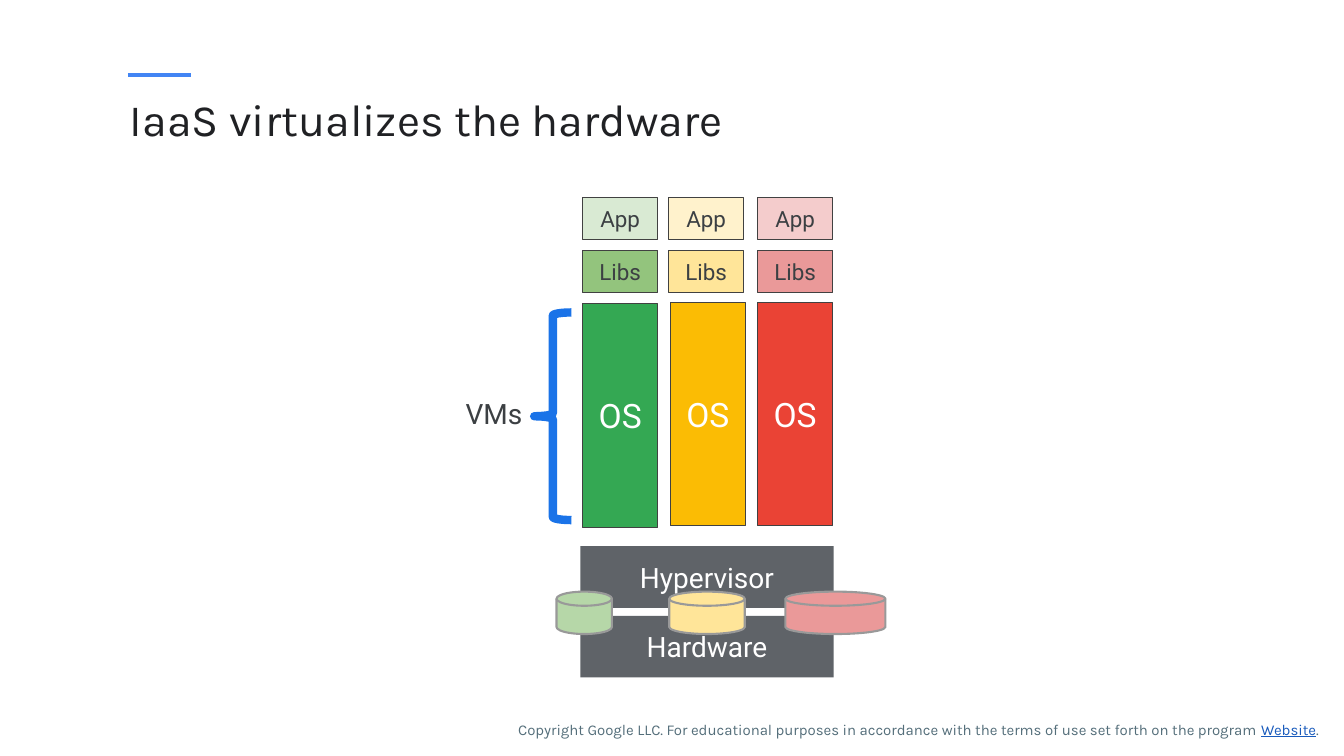
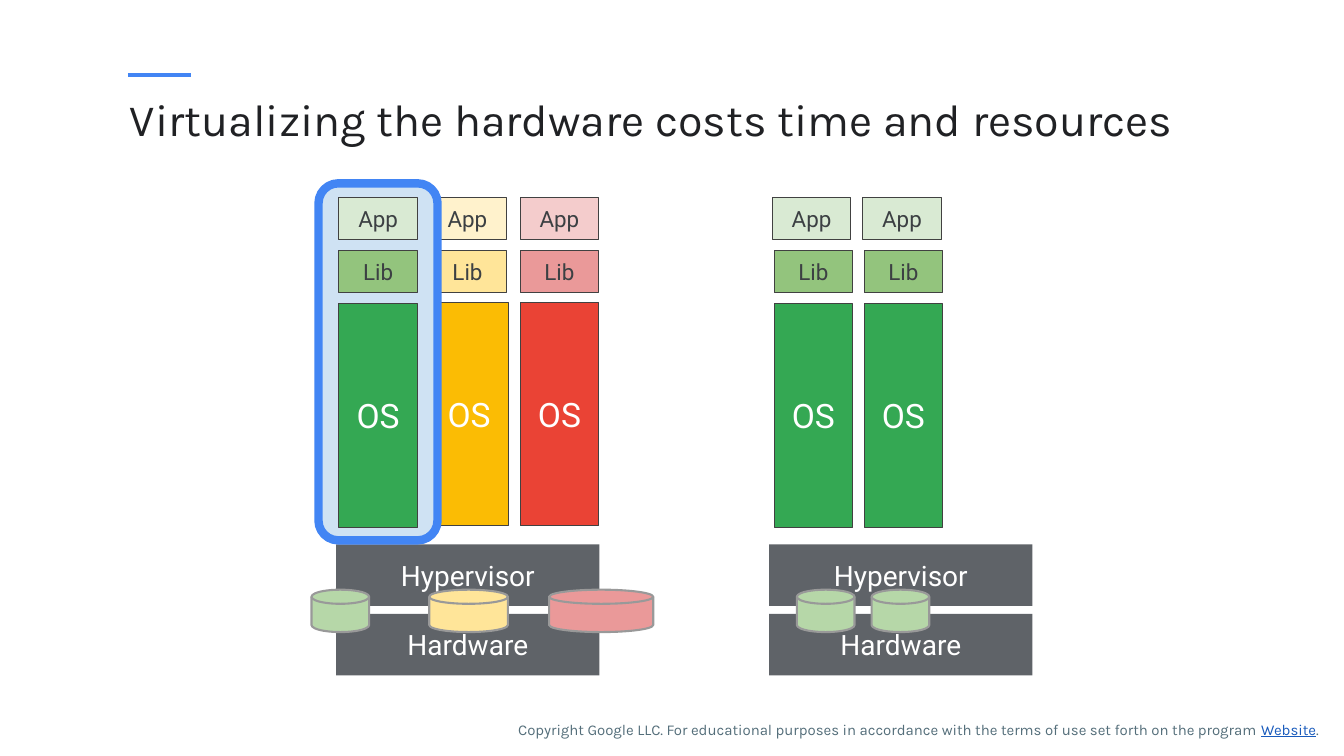
import pptx
import pptx.dml.color
import pptx.enum.shapes
import pptx.enum.text
import pptx.oxml
import pptx.util

Pt = pptx.util.Pt
SHAPES = pptx.enum.shapes.MSO_SHAPE
ALIGN = pptx.enum.text.PP_ALIGN
ANCHOR = pptx.enum.text.MSO_ANCHOR

ACCENT = "4285F4"
TITLE_FORMAT = {"name": "Karla", "size": Pt(32), "color": "202124"}
FOOTER_FORMAT = {"name": "Karla", "size": Pt(10.7), "color": "546E7A"}
LINK_FORMAT = FOOTER_FORMAT | {"color": "185ABC", "underline": True}
SMALL_FORMAT = {"name": "Roboto", "size": Pt(16), "color": "3C4043"}
LABEL_FORMAT = SMALL_FORMAT | {"size": Pt(20)}
BASE_FORMAT = LABEL_FORMAT | {"color": "FFFFFF"}
OS_FORMAT = BASE_FORMAT | {"size": Pt(24)}
WIDE_INSET, NARROW_INSET = 9.4, 5

FOOTER = [
    ("Copyright Google LLC. For educational purposes in accordance with "
     "the terms of use set forth on the program ", FOOTER_FORMAT),
    ("Website", LINK_FORMAT),
    (".", FOOTER_FORMAT),
]

PALETTES = {
    "green": {"app": "D9EAD3", "libs": "93C47D", "os": "34A853", "disk": "B6D7A8"},
    "yellow": {"app": "FFF2CC", "libs": "FFE599", "os": "FBBC04", "disk": "FFE599"},
    "red": {"app": "F4CCCC", "libs": "EA9999", "os": "EA4335", "disk": "EA9999"},
}
APP_TOP, LIBS_TOP, SMALL_HEIGHT = 141, 178.7, 30.3
OS_TOPS = {"green": 217, "yellow": 216, "red": 216}
OS_HEIGHT = 159.5
BASE_HEIGHT, BASE_PITCH = 44, 49.7
DISK_DROP, DISK_HEIGHT = 32.4, 30.3

# Columns: palette and the left edges of app, libs and OS. Disks: palette, left, width.
SLIDES = [
    {
        "title": "IaaS virtualizes the hardware",
        "libs_text": "Libs",
        "column_width": 54,
        "base_top": 390.2,
        "base_width": 181,
        "brace": (381.6, 223.2, 26.6, 148.3),
        "brace_label": ("VMs", (327.6, 278.6, 54, 44)),
        "stacks": [{
            "base_left": 414.5,
            "columns": [("green", (416, 416, 416)),
                        ("yellow", (477.4, 477.4, 478.6)),
                        ("red", (541, 541, 541))],
            "disks": [("green", 397.5, 39.6), ("yellow", 478, 54), ("red", 561, 71.5)],
        }],
    },
    {
        "title": "Virtualizing the hardware costs time and resources",
        "libs_text": "Lib",
        "column_width": 56.2,
        "base_top": 388.8,
        "base_width": 188,
        "stacks": [
            {
                "base_left": 240.2,
                "columns": [("yellow", (305.8, 305.8, 307)),
                            ("red", (371.5, 371.5, 371.5)),
                            ("green", (242, 242, 242))],
                "highlight": ("green", (227.5, 131, 85, 255)),
                "disks": [("green", 222.5, 41.2), ("yellow", 306.6, 56.2), ("red", 392.2, 74.4)],
            },
            {
                "base_left": 549.5,
                "columns": [("green", (551.6, 552.9, 552.9)),
                            ("green", (616.2, 617.2, 617.2))],
                "disks": [("green", 569.2, 41.2), ("green", 622.6, 41.2)],
            },
        ],
    },
]


def color(value):
    return pptx.dml.color.RGBColor.from_string(value)


def write(shape, runs, inset, align=ALIGN.LEFT, anchor=ANCHOR.TOP):
    """Fill the first paragraph of a shape with (text, format) runs."""
    frame = shape.text_frame
    settings = {"word_wrap": True, "vertical_anchor": anchor}
    settings |= {f"margin_{side}": Pt(inset) for side in ("left", "top", "right", "bottom")}
    for name, value in settings.items():
        setattr(frame, name, value)
    para = frame.paragraphs[0]
    para.alignment = align
    for text, text_format in runs:
        run = para.add_run()
        run.text = text
        for name, value in text_format.items():
            if name == "color":
                run.font.color.rgb = color(value)
            else:
                setattr(run.font, name, value)
    return para


def add_text(page, place, runs, inset):
    box = page.shapes.add_textbox(*map(Pt, place))
    return write(box, runs, inset)


def add_shape(page, kind, place, fill=None, line=None, line_width=0.75):
    shape = page.shapes.add_shape(kind, *map(Pt, place))
    shape.shadow.inherit = False
    if fill:
        shape.fill.solid()
        shape.fill.fore_color.rgb = color(fill)
    else:
        shape.fill.background()
    if line:
        shape.line.color.rgb = color(line)
        shape.line.width = Pt(line_width)
    else:
        shape.line.fill.background()
    return shape


def add_block(page, place, fill, text, text_format, line="414141"):
    block = add_shape(page, SHAPES.RECTANGLE, place, fill, line)
    write(block, [(text, text_format)], WIDE_INSET, ALIGN.CENTER, ANCHOR.MIDDLE)


def add_frame(page, title):
    """Draw the accent, title and footer that every slide carries."""
    accent = page.shapes.add_connector(
        pptx.enum.shapes.MSO_CONNECTOR.STRAIGHT, *map(Pt, (91.4, 53.5, 136.6, 53.5)))
    accent.line.color.rgb = color(ACCENT)
    accent.line.width = Pt(3)
    properties = accent.element.spPr
    properties.append(pptx.oxml.parse_xml(
        '<a:effectLst xmlns:a="http://schemas.openxmlformats.org/drawingml/2006/main"/>'))
    add_text(page, (87.8, 60.5, 775.4, 59.8), [(title, TITLE_FORMAT)], NARROW_INSET)
    add_text(page, (360.7, 505.4, 594, 27.4), FOOTER, WIDE_INSET).line_spacing = 1.15


def add_column(page, palette, lefts, width, libs_text):
    rows = [
        ("app", "App", APP_TOP, SMALL_HEIGHT, SMALL_FORMAT),
        ("libs", libs_text, LIBS_TOP, SMALL_HEIGHT, SMALL_FORMAT),
        ("os", "OS", OS_TOPS[palette], OS_HEIGHT, OS_FORMAT),
    ]
    for left, (part, text, top, height, text_format) in zip(lefts, rows):
        add_block(page, (left, top, width, height), PALETTES[palette][part], text, text_format)


def add_stack(page, content, stack):
    base_top = content["base_top"]
    for index, text in enumerate(("Hypervisor", "Hardware")):
        place = (stack["base_left"], base_top + index * BASE_PITCH,
                 content["base_width"], BASE_HEIGHT)
        add_block(page, place, "5F6368", text, BASE_FORMAT, line=None)
    for palette, left, width in stack["disks"]:
        add_shape(page, SHAPES.FLOWCHART_MAGNETIC_DISK,
                  (left, base_top + DISK_DROP, width, DISK_HEIGHT),
                  PALETTES[palette]["disk"], "999999", 1.5)
    highlighted, highlight_place = stack.get("highlight", (None, None))
    for palette, lefts in stack["columns"]:
        if palette == highlighted:
            add_shape(page, SHAPES.ROUNDED_RECTANGLE, highlight_place, "CFE2F3", ACCENT, 6)
        add_column(page, palette, lefts, content["column_width"], content["libs_text"])


def main():
    deck = pptx.Presentation()
    deck.slide_width, deck.slide_height = Pt(960), Pt(540)
    for content in SLIDES:
        page = deck.slides.add_slide(deck.slide_layouts[6])
        add_frame(page, content["title"])
        for stack in content["stacks"]:
            add_stack(page, content, stack)
        if "brace" in content:
            add_shape(page, SHAPES.LEFT_BRACE, content["brace"], line="1A73E8", line_width=6)
            text, place = content["brace_label"]
            add_text(page, place, [(text, LABEL_FORMAT)], NARROW_INSET)
    deck.save("out.pptx")


if __name__ == "__main__":
    main()
